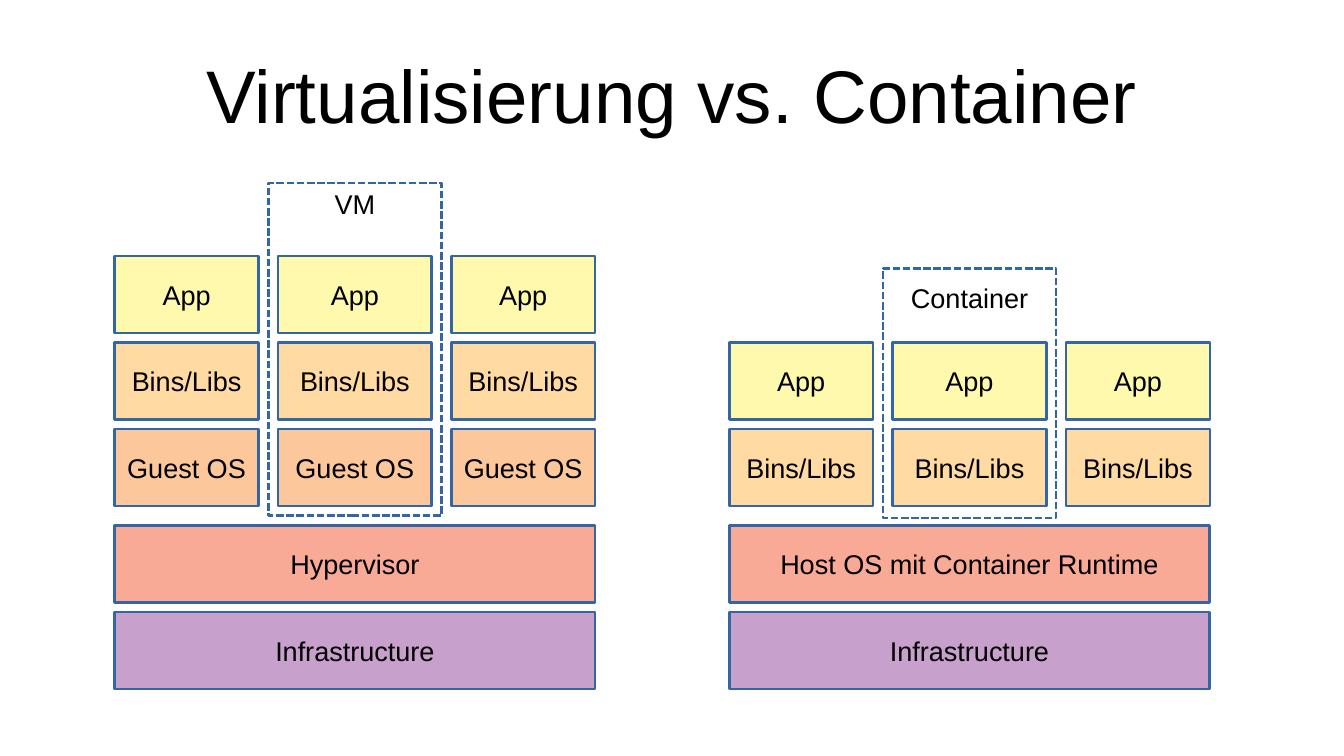
from dataclasses import dataclass
from typing import Optional

import pptx
import pptx.dml.color
import pptx.enum.dml
import pptx.enum.shapes
import pptx.enum.text
import pptx.util
from pptx.dml.color import RGBColor
from pptx.util import Inches

BLACK = RGBColor(0x00, 0x00, 0x00)
OUTLINE = RGBColor(0x34, 0x65, 0xA4)
YELLOW = RGBColor(0xFF, 0xF9, 0xAE)
LIGHT_ORANGE = RGBColor(0xFF, 0xDA, 0xA2)
ORANGE = RGBColor(0xFC, 0xC7, 0x9B)
RED = RGBColor(0xF8, 0xAA, 0x97)
PURPLE = RGBColor(0xC7, 0xA0, 0xCB)

FONT = "Arial"
STACK_WIDTH = 3.94
LAYER_HEIGHT = 0.63
LAYER_STEP = 0.71
BASE_TOP = 5.02
LOWEST_TILE_TOP = 3.52
TILE_COLUMNS = ((0, 1.18), (1.34, 1.26), (2.76, 1.18))  # offset, width
FRAME_OFFSET = 1.26
FRAME_WIDTH = 1.42


@dataclass(frozen=True)
class Layer:
    label: str
    color: RGBColor


@dataclass(frozen=True)
class Stack:
    left: float
    bars: tuple[Layer, ...]  # both groups run from bottom to top
    tiles: tuple[Layer, ...]
    frame_label: str
    frame_top: float
    frame_height: float
    label_inset: float


APP = Layer("App", YELLOW)
LIBRARIES = Layer("Bins/Libs", LIGHT_ORANGE)
GUEST = Layer("Guest OS", ORANGE)
INFRASTRUCTURE = Layer("Infrastructure", PURPLE)

STACKS = (
    Stack(0.94, (INFRASTRUCTURE, Layer("Hypervisor", RED)),
          (GUEST, LIBRARIES, APP), "VM", 1.5, 2.73, 0.04),
    Stack(5.98, (INFRASTRUCTURE, Layer("Host OS mit Container Runtime", RED)),
          (LIBRARIES, APP), "Container", 2.2, 2.05, 0.11),
)


def write(frame: pptx.text.text.TextFrame, text: str, size: float) -> None:
    para = frame.paragraphs[0]
    para.alignment = pptx.enum.text.PP_ALIGN.CENTER
    span = para.add_run()
    span.text = text
    span.font.name = FONT
    span.font.size = pptx.util.Pt(size)
    span.font.color.rgb = BLACK


def add_box(page: pptx.slide.Slide, left: float, top: float, width: float,
            height: float, label: str, color: Optional[RGBColor] = None,
            inset: float = 0.06) -> None:
    """Draw a filled layer, or a dashed frame labelled at its top if no color."""
    box = page.shapes.add_shape(
        pptx.enum.shapes.MSO_SHAPE.RECTANGLE,
        Inches(left), Inches(top), Inches(width), Inches(height))
    box.shadow.inherit = False
    box.line.color.rgb = OUTLINE
    box.line.width = pptx.util.Pt(1.5)
    frame = box.text_frame
    frame.word_wrap = False
    frame.margin_left = frame.margin_right = Inches(0.11)
    frame.margin_top = frame.margin_bottom = Inches(inset)
    if color is None:
        box.fill.background()
        box.line.dash_style = pptx.enum.dml.MSO_LINE.SQUARE_DOT
        frame.vertical_anchor = pptx.enum.text.MSO_ANCHOR.TOP
    else:
        box.fill.solid()
        box.fill.fore_color.rgb = color
        frame.vertical_anchor = pptx.enum.text.MSO_ANCHOR.MIDDLE
    write(frame, label, 16)


def add_stack(page: pptx.slide.Slide, stack: Stack) -> None:
    for level, bar in enumerate(stack.bars):
        add_box(page, stack.left, BASE_TOP - level * LAYER_STEP,
                STACK_WIDTH, LAYER_HEIGHT, bar.label, bar.color)
    add_box(page, stack.left + FRAME_OFFSET, stack.frame_top, FRAME_WIDTH,
            stack.frame_height, stack.frame_label, inset=stack.label_inset)
    for offset, width in TILE_COLUMNS:
        for level, tile in enumerate(stack.tiles):
            add_box(page, stack.left + offset,
                    LOWEST_TILE_TOP - level * LAYER_STEP,
                    width, LAYER_HEIGHT, tile.label, tile.color)


def add_title(page: pptx.slide.Slide, text: str) -> None:
    title = page.shapes.title
    title.left, title.top = Inches(0.55), Inches(0.25)
    title.width, title.height = Inches(9.92), Inches(1.04)
    frame = title.text_frame
    frame.margin_left = frame.margin_right = 0
    frame.margin_top = frame.margin_bottom = 0
    frame.vertical_anchor = pptx.enum.text.MSO_ANCHOR.MIDDLE
    frame.auto_size = pptx.enum.text.MSO_AUTO_SIZE.NONE
    write(frame, text, 44)


def main() -> None:
    deck = pptx.Presentation()
    deck.slide_width, deck.slide_height = Inches(11.02), Inches(6.2)
    page = deck.slides.add_slide(deck.slide_layouts[5])
    add_title(page, "Virtualisierung vs. Container")
    for stack in STACKS:
        add_stack(page, stack)
    deck.save("out.pptx")


if __name__ == "__main__":
    main()
